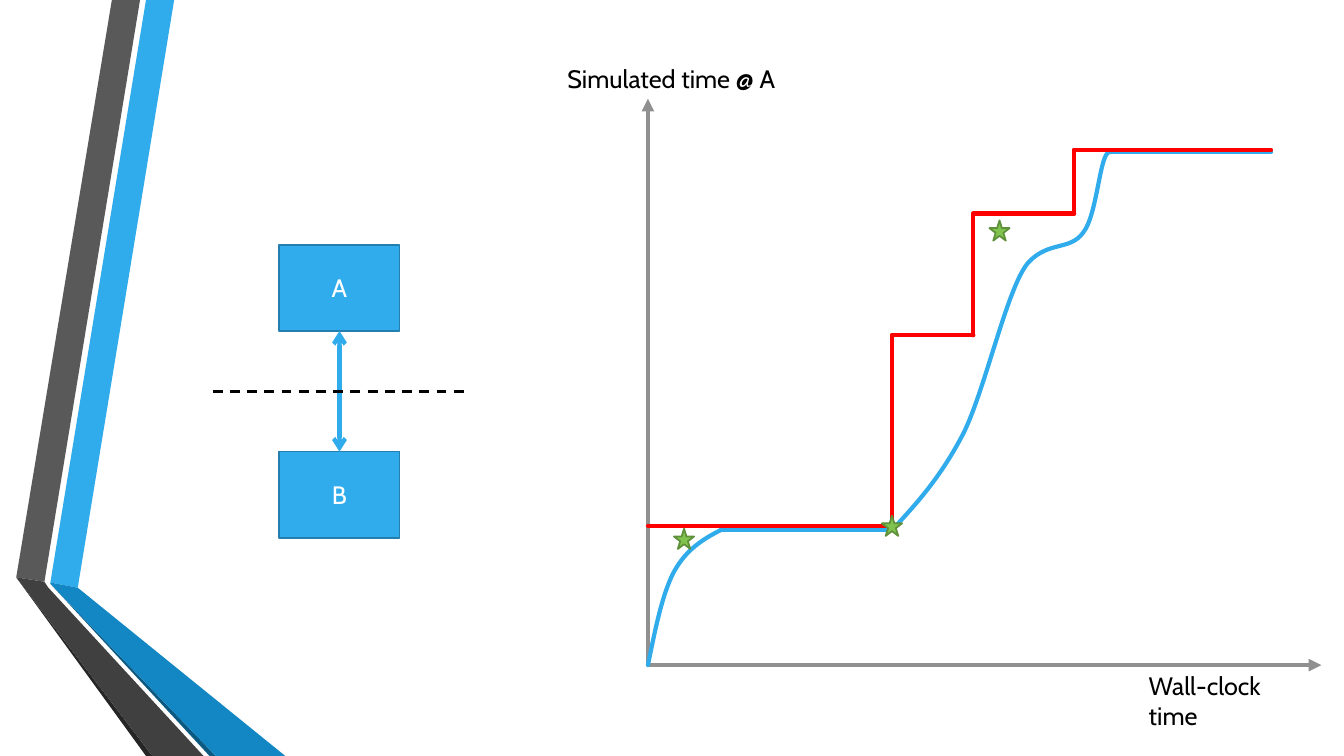
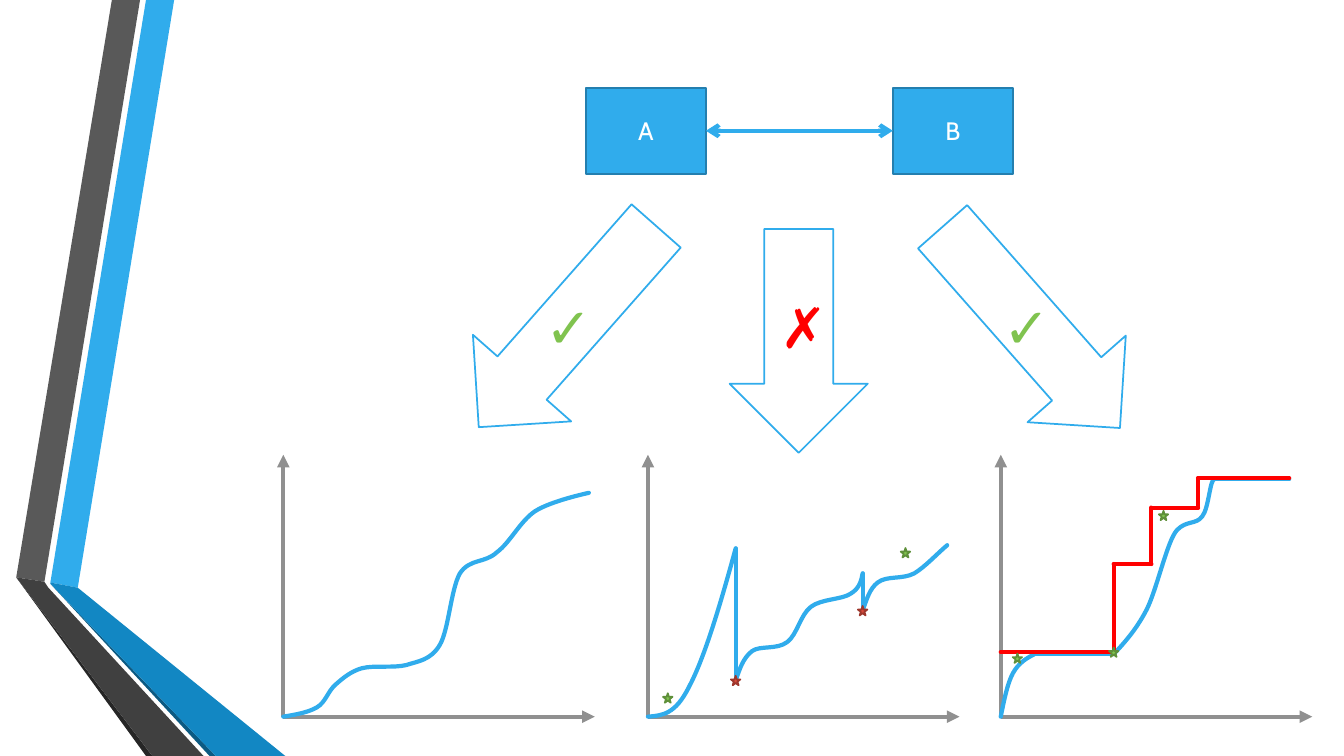
from dataclasses import dataclass
from itertools import pairwise
from typing import Any

from lxml.etree import SubElement
from pptx import Presentation
from pptx.dml.color import RGBColor
from pptx.enum.dml import MSO_LINE_DASH_STYLE as Dash
from pptx.enum.shapes import MSO_CONNECTOR as Connector, MSO_SHAPE as Shape
from pptx.enum.text import MSO_ANCHOR as Anchor, PP_ALIGN as Align
from pptx.oxml.ns import qn
from pptx.util import Cm, Pt

# Shared style
FONT = "Cabin"
BLUE, BLUE_EDGE = "30ACEC", "247FAF"
GREEN, GREEN_EDGE = "80C34F", "5F903A"
BRICK, BRICK_EDGE = "D64A3B", "9E372C"
RED, GREY, BLACK, WHITE = "FF0000", "909090", "000000", "FFFFFF"
THICK, THIN = 3, 1.25
BOX_WIDTH, BOX_HEIGHT = 3.03, 2.17
BASELINE = 18.06
SMALL_AXES = (7.85, 6.6)

# Side band, as colour and corner points in cm
BAND = [
    (BLUE, [(1.27, 14.68), (1.96, 14.81), (4.39, 0), (3.68, 0)]),
    ("595959", [(3.53, 0), (2.82, 0), (0.41, 14.55), (1.12, 14.66)]),
    ("262626", [(0.41, 14.55), (3.68, 19.05), (3.84, 19.05)]),
    ("0C5A82", [(1.27, 14.71), (5.28, 19.05), (5.44, 19.05)]),
    ("1287C3", [(1.27, 14.68), (1.27, 14.71), (5.44, 19.05), (7.19, 19.05), (1.96, 14.81)]),
    ("404040", [(5.13, 19.05), (1.22, 14.81), (1.12, 14.66), (0.41, 14.55), (3.84, 19.05)]),
]

# Curves: a start point, then three Bézier points per segment, in cm from the origin
STEP_START = [(0, 0), (0.18, 0.89), (0.36, 1.8), (0.66, 2.36),
              (0.97, 2.92), (1.4, 3.18), (1.83, 3.4)]
STEP_RISE = [(6.15, 3.4), (6.76, 4.06), (7.37, 4.72), (7.95, 5.84),
             (8.51, 6.96), (9.07, 9.6), (9.6, 10.16),
             (10.11, 10.69), (10.64, 10.44), (10.97, 10.9),
             (11.33, 11.35), (11.38, 12.9), (11.63, 12.93)]
STEP_END = (15.7, 12.93)
STAIRS = [(0, 3.51), (6.15, 3.51), (6.15, 8.31), (8.2, 8.31), (8.2, 11.38),
          (10.74, 11.38), (10.74, 12.98), (15.7, 12.98)]
STEP_STARS = [(0.91, 3.18), (8.86, 10.95), (6.15, 3.51)]

SMOOTH = [(0, 0), (0.3, 0.05), (0.61, 0.1), (0.84, 0.23),
          (1.07, 0.36), (1.12, 0.64), (1.32, 0.81),
          (1.5, 0.97), (1.7, 1.14), (1.98, 1.22),
          (2.29, 1.3), (2.77, 1.22), (3.1, 1.3),
          (3.4, 1.4), (3.71, 1.42), (3.94, 1.8),
          (4.17, 2.18), (4.22, 3.2), (4.45, 3.61),
          (4.7, 3.99), (5.08, 3.86), (5.38, 4.14),
          (5.72, 4.39), (5.97, 4.93), (6.35, 5.18),
          (6.76, 5.44), (7.7, 5.64), (7.7, 5.64)]
ROLLBACKS = [
    [(0, 0), (0.36, 0.03), (0.69, 0.05), (1.04, 0.76),
     (1.42, 1.47), (1.83, 2.84), (2.21, 4.24)],
    [(2.21, 0.91), (2.31, 1.19), (2.39, 1.47), (2.62, 1.65),
     (2.82, 1.8), (3.25, 1.68), (3.51, 1.88),
     (3.76, 2.06), (3.84, 2.57), (4.11, 2.77),
     (4.37, 2.97), (4.9, 2.95), (5.11, 3.1),
     (5.33, 3.23), (5.38, 3.43), (5.41, 3.61)],
    [(5.41, 2.67), (5.51, 2.95), (5.59, 3.23), (5.79, 3.38),
     (6.02, 3.56), (6.4, 3.45), (6.71, 3.61),
     (6.99, 3.78), (7.29, 4.11), (7.54, 4.32)],
]


def colour(hex_text):
    return RGBColor.from_string(hex_text)


def paint(shape, fill=None, line=None, width=THIN):
    """Set fill and outline; None means none."""
    shape.shadow.inherit = False
    if fill:
        shape.fill.solid()
        shape.fill.fore_color.rgb = colour(fill)
    else:
        shape.fill.background()
    if line:
        shape.line.color.rgb = colour(line)
        shape.line.width = Pt(width)
    else:
        shape.line.fill.background()


def write(shape, text, size, text_colour):
    paragraph = shape.text_frame.paragraphs[0]
    paragraph.text = text
    font = paragraph.runs[0].font
    font.name, font.size = FONT, Pt(size)
    font.color.rgb = colour(text_colour)
    return paragraph


def add_label(slide, text, left, top, width, height, size=18, text_colour=BLACK):
    label = slide.shapes.add_textbox(Cm(left), Cm(top), Cm(width), Cm(height))
    label.text_frame.word_wrap = True
    write(label, text, size, text_colour)


def add_box(slide, text, left, top):
    box = slide.shapes.add_shape(
        Shape.RECTANGLE, Cm(left), Cm(top), Cm(BOX_WIDTH), Cm(BOX_HEIGHT))
    paint(box, BLUE, BLUE_EDGE)
    box.text_frame.vertical_anchor = Anchor.MIDDLE
    write(box, text, 18, WHITE).alignment = Align.CENTER
    return box


def add_centred(slide, kind, centre, width, height, fill, line):
    x, y = centre
    shape = slide.shapes.add_shape(
        kind, Cm(x - width / 2), Cm(y - height / 2), Cm(width), Cm(height))
    paint(shape, fill, line)
    return shape


def add_line(slide, start, end, line, width=THICK, head=None, tail=None):
    connector = slide.shapes.add_connector(
        Connector.STRAIGHT, *(Cm(value) for value in (*start, *end)))
    connector.line.color.rgb = colour(line)
    connector.line.width = Pt(width)
    for tag, kind in (("a:headEnd", head), ("a:tailEnd", tail)):
        if kind:
            SubElement(connector.line._get_or_add_ln(), qn(tag), type=kind)
    SubElement(connector._element.spPr, qn("a:effectLst"))
    return connector


def add_outline(slide, points, close):
    start, *rest = [(Cm(x), Cm(y)) for x, y in points]
    builder = slide.shapes.build_freeform(*start)
    builder.add_line_segments(rest, close=close)
    return builder.convert_to_shape()


def bend(shape):
    """Turn each three line segments of a freeform into one Bézier segment."""
    segments = list(shape._element.iter(qn("a:lnTo")))
    for index in range(0, len(segments), 3):
        first, *others = segments[index:index + 3]
        first.tag = qn("a:cubicBezTo")
        for other in others:
            first.append(other[0])
            other.getparent().remove(other)


def link_boxes(slide, first, first_site, second, second_site):
    link = add_line(slide, (0, 0), (1, 1), BLUE, head="arrow", tail="arrow")
    link.begin_connect(first, first_site)
    link.end_connect(second, second_site)


def round_caps(shape):
    shape.line._get_or_add_ln().set("cap", "rnd")


@dataclass
class Plot:
    """A sketched graph with its origin in cm and y pointing up."""
    slide: Any
    left: float
    base: float
    scale: float = 1

    def place(self, point):
        return self.left + point[0] * self.scale, self.base - point[1] * self.scale

    def axes(self, width, height):
        origin = (self.left, self.base)
        for end in ((self.left + width, self.base), (self.left, self.base - height)):
            add_line(self.slide, origin, end, GREY, tail="triangle")

    def line(self, start, end, line=BLUE):
        round_caps(add_line(self.slide, self.place(start), self.place(end), line))

    def curve(self, points):
        shape = add_outline(self.slide, [self.place(point) for point in points], False)
        bend(shape)
        paint(shape, line=BLUE, width=THICK)
        round_caps(shape)

    def star(self, point, size, fill=GREEN, edge=GREEN_EDGE):
        add_centred(self.slide, Shape.STAR_5_POINT, self.place(point), size, size, fill, edge)


def add_step_plot(slide, left, base, scale, axes):
    plot = Plot(slide, left, base, scale)
    plot.axes(*axes)
    plot.line(STEP_START[-1], STEP_RISE[0])
    plot.curve(STEP_START)
    plot.curve(STEP_RISE)
    plot.line(STEP_RISE[-1], STEP_END)
    for start, end in pairwise(STAIRS):
        plot.line(start, end, RED)
    for point in STEP_STARS:
        plot.star(point, 0.51 * scale)


def add_smooth_plot(slide):
    plot = Plot(slide, 7.14, BASELINE)
    plot.axes(*SMALL_AXES)
    plot.curve(SMOOTH)


def add_rollback_plot(slide):
    plot = Plot(slide, 16.33, BASELINE)
    plot.axes(*SMALL_AXES)
    for points in ROLLBACKS:
        plot.curve(points)
    for before, after in pairwise(ROLLBACKS):
        plot.line(before[-1], after[0])
        plot.star(after[0], 0.24, BRICK, BRICK_EDGE)
    for point in ((0.5, 0.47), (6.49, 4.13)):
        plot.star(point, 0.24)


def move_band_to_layout(slide):
    """Draw the side band and hand it to the layout that all slides share."""
    layout = slide.slide_layout
    for placeholder in list(layout.placeholders):
        placeholder._element.getparent().remove(placeholder._element)
    pieces = []
    for fill, points in BAND:
        piece = add_outline(slide, points, True)
        paint(piece, fill)
        pieces.append(piece)
    for piece in pieces:
        layout.shapes._spTree.append(piece._element)


def build_clock_slide(slide):
    add_label(slide, "Wall-clock time", 28.7, 16.76, 4.62, 1.02)
    add_label(slide, "Simulated time @ A", 14.05, 1.47, 5.87, 1.02)
    add_step_plot(slide, 16.33, 16.76, 1, (16.97, 14.27))
    # Two simulators and the boundary between them
    box_a = add_box(slide, "A", 7.04, 6.17)
    box_b = add_box(slide, "B", 7.04, 11.38)
    link_boxes(slide, box_a, 2, box_b, 0)
    boundary = add_line(slide, (5.36, 9.86), (11.76, 9.86), BLACK, 1.75)
    boundary.line.dash_style = Dash.DASH


def build_comparison_slide(slide):
    box_a = add_box(slide, "A", 14.76, 2.21)
    box_b = add_box(slide, "B", 22.5, 2.21)
    link_boxes(slide, box_a, 3, box_b, 1)
    add_smooth_plot(slide)
    add_rollback_plot(slide)
    add_step_plot(slide, 25.22, BASELINE, 0.463, SMALL_AXES)
    # Verdict arrows: centre, width, height, rotation, mark, mark left and width
    verdicts = [
        ((14.3, 8.23), 3.3, 6.76, 41.4, "✓", GREEN, 13.49, 1.63),
        ((20.13, 8.59), 3.48, 5.64, 0, "✗", RED, 19.43, 1.42),
        ((25.99, 8.25), 3.3, 6.76, 318.6, "✓", GREEN, 25.04, 1.63),
    ]
    for centre, width, height, rotation, mark, mark_colour, left, mark_width in verdicts:
        arrow = add_centred(slide, Shape.DOWN_ARROW, centre, width, height, WHITE, BLUE)
        arrow.rotation = rotation
        add_label(slide, mark, left, 7.25, mark_width, 1.96, 40, mark_colour)


def main():
    presentation = Presentation()
    presentation.slide_width, presentation.slide_height = Cm(33.87), Cm(19.05)
    blank = presentation.slide_layouts[6]
    clock, comparison = (presentation.slides.add_slide(blank) for _ in range(2))
    move_band_to_layout(clock)
    build_clock_slide(clock)
    build_comparison_slide(comparison)
    presentation.save("out.pptx")


if __name__ == "__main__":
    main()
